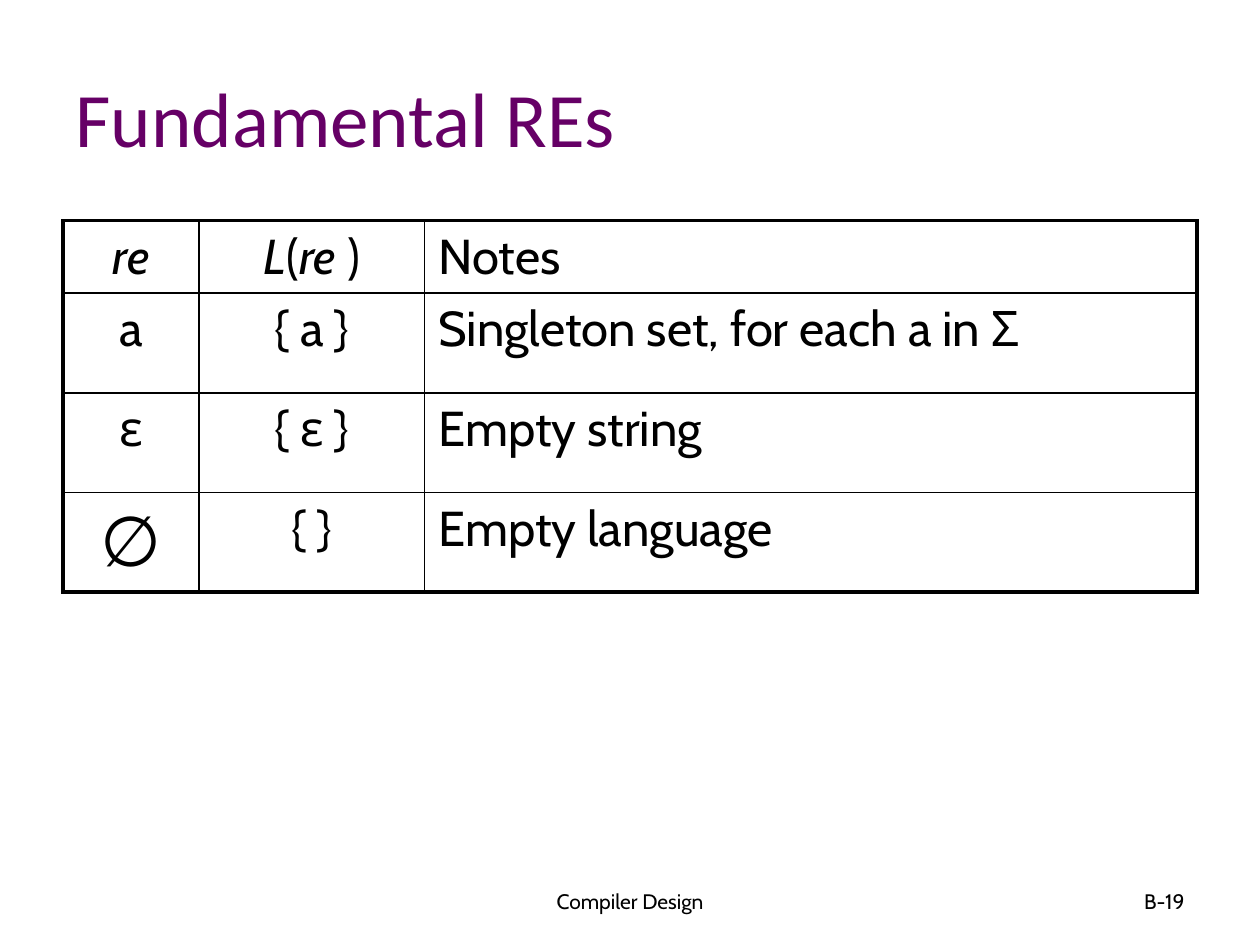
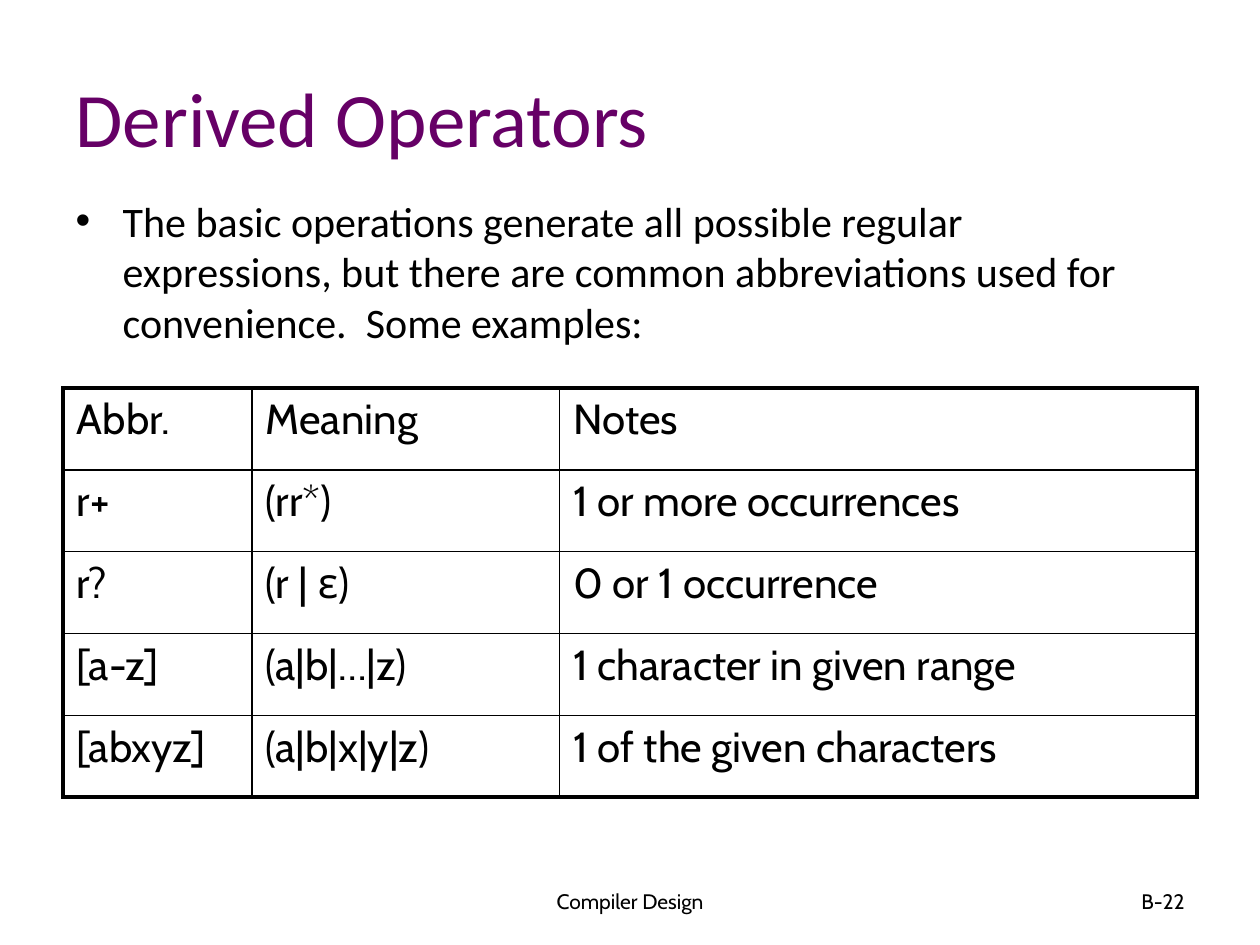
from lxml.etree import SubElement
from pptx import Presentation
from pptx.dml.color import RGBColor
from pptx.enum.text import MSO_ANCHOR, PP_ALIGN
from pptx.oxml.ns import qn
from pptx.util import Cm, Pt

THEME = {
    "ink": RGBColor(0x00, 0x00, 0x00),
    "title": {"name": "Calibri", "size": Pt(44)},
    "title_color": RGBColor(0x66, 0x00, 0x66),
    "body": {"name": "Calibri", "size": Pt(24)},
    "footer": {"name": "Cabin", "size": Pt(12)},
    "large_cell": {"name": "Cabin", "size": Pt(28)},
    "cell": {"name": "Cabin", "size": Pt(24)},
    "symbol": {"size": Pt(40)},
    "thin": Pt(1),
    "thick": Pt(2.25),
}
ITALIC = {"italic": True}
LEFT, CENTER, RIGHT = PP_ALIGN.LEFT, PP_ALIGN.CENTER, PP_ALIGN.RIGHT
CELL_FORMAT = {
    "margin_left": Cm(0.28), "margin_right": Cm(0.28),
    "margin_top": Cm(0.13), "margin_bottom": Cm(0.13),
    "vertical_anchor": MSO_ANCHOR.TOP,
}

SLIDES = [
    {
        "title": "Fundamental REs",
        "number": "B-19",
        "top": 4.45,
        "columns": [2.74, 4.55, 15.57],
        "heights": [1.44, 2.01, 2.01, 2.01],
        "aligns": [CENTER, CENTER, LEFT],
        "font": "large_cell",
        "rows": [
            [[("re", ITALIC)],
             [("L", ITALIC), ("(", {}), ("re", ITALIC), (" )", {})],
             "Notes"],
            ["a", "{ a }", "Singleton set, for each a in Σ"],
            ["ε", "{ ε }", "Empty string"],
            [[("∅", THEME["symbol"])], "{ }", "Empty language"],
        ],
    },
    {
        "title": "Derived Operators",
        "number": "B-22",
        "body": "The basic operations generate all possible regular expressions, "
                "but there are common abbreviations used for convenience.  "
                "Some examples:",
        "top": 7.82,
        "columns": [3.81, 6.2, 12.85],
        "heights": [1.65] * 5,
        "aligns": [LEFT] * 3,
        "font": "cell",
        "rows": [
            ["Abbr.", "Meaning", "Notes"],
            ["r+", "(rr*)", "1 or more occurrences"],
            ["r?", "(r | ε)", "0 or 1 occurrence"],
            ["[a-z]", "(a|b|…|z)", "1 character in given range"],
            ["[abxyz]", "(a|b|x|y|z)", "1 of the given characters"],
        ],
    },
]


def apply(target, values):
    for name, value in values.items():
        setattr(target, name, value)


def write(para, content, font, align=LEFT, color=THEME["ink"]):
    para.alignment = align
    for text, changes in [(content, {})] if isinstance(content, str) else content:
        span = para.add_run()
        span.text = text
        apply(span.font, {**THEME[font], **changes})
        span.font.color.rgb = color


deck = Presentation()
apply(deck, {"slide_width": Cm(25.4), "slide_height": Cm(19.05)})

for content in SLIDES:
    page = deck.slides.add_slide(deck.slide_layouts[1 if "body" in content else 5])

    title = page.shapes.title
    apply(title, {"left": Cm(1.27), "top": Cm(0.76),
                  "width": Cm(22.86), "height": Cm(3.18)})
    title.text_frame.vertical_anchor = MSO_ANCHOR.MIDDLE
    write(title.text_frame.paragraphs[0], content["title"], "title",
          color=THEME["title_color"])

    if "body" in content:
        body = page.placeholders[1]
        apply(body, {"left": Cm(1.27), "top": Cm(3.81),
                     "width": Cm(21.59), "height": Cm(11.43)})
        para = body.text_frame.paragraphs[0]
        para.space_before = Pt(0)
        properties = para._p.get_or_add_pPr()
        properties.set("marL", str(Cm(0.95)))
        properties.set("indent", str(-Cm(0.95)))
        SubElement(properties, qn("a:buFont"), typeface="Arial")
        SubElement(properties, qn("a:buChar"), char="•")
        write(para, content["body"], "body")

    rows, columns = content["rows"], content["columns"]
    table = page.shapes.add_table(
        len(rows), len(columns), Cm(1.27), Cm(content["top"]),
        Cm(sum(columns)), Cm(sum(content["heights"]))).table
    apply(table, {"first_row": False, "horz_banding": False})
    for column, width in zip(table.columns, columns):
        column.width = Cm(width)
    for row, height in zip(table.rows, content["heights"]):
        row.height = Cm(height)

    for r, row in enumerate(rows):
        for c, value in enumerate(row):
            cell = table.cell(r, c)
            apply(cell, CELL_FORMAT)
            write(cell.text_frame.paragraphs[0], value, content["font"],
                  content["aligns"][c])
            outer_sides = {
                "a:lnL": c == 0, "a:lnR": c == len(columns) - 1,
                "a:lnT": r == 0, "a:lnB": r == len(rows) - 1,
            }
            for side, is_outer in outer_sides.items():
                width = THEME["thick" if is_outer else "thin"]
                border = SubElement(cell._tc.get_or_add_tcPr(), qn(side), w=str(width))
                fill = SubElement(border, qn("a:solidFill"))
                SubElement(fill, qn("a:srgbClr"), val=str(THEME["ink"]))
            cell.fill.background()

    for text, left, width, align in [
        ("Compiler Design", 8.68, 8.05, CENTER),
        (content["number"], 18.2, 5.93, RIGHT),
    ]:
        box = page.shapes.add_textbox(Cm(left), Cm(17.66), Cm(width), Cm(1.01))
        apply(box.text_frame, {"word_wrap": True, "vertical_anchor": MSO_ANCHOR.MIDDLE})
        write(box.text_frame.paragraphs[0], text, "footer", align)

deck.save("out.pptx")
